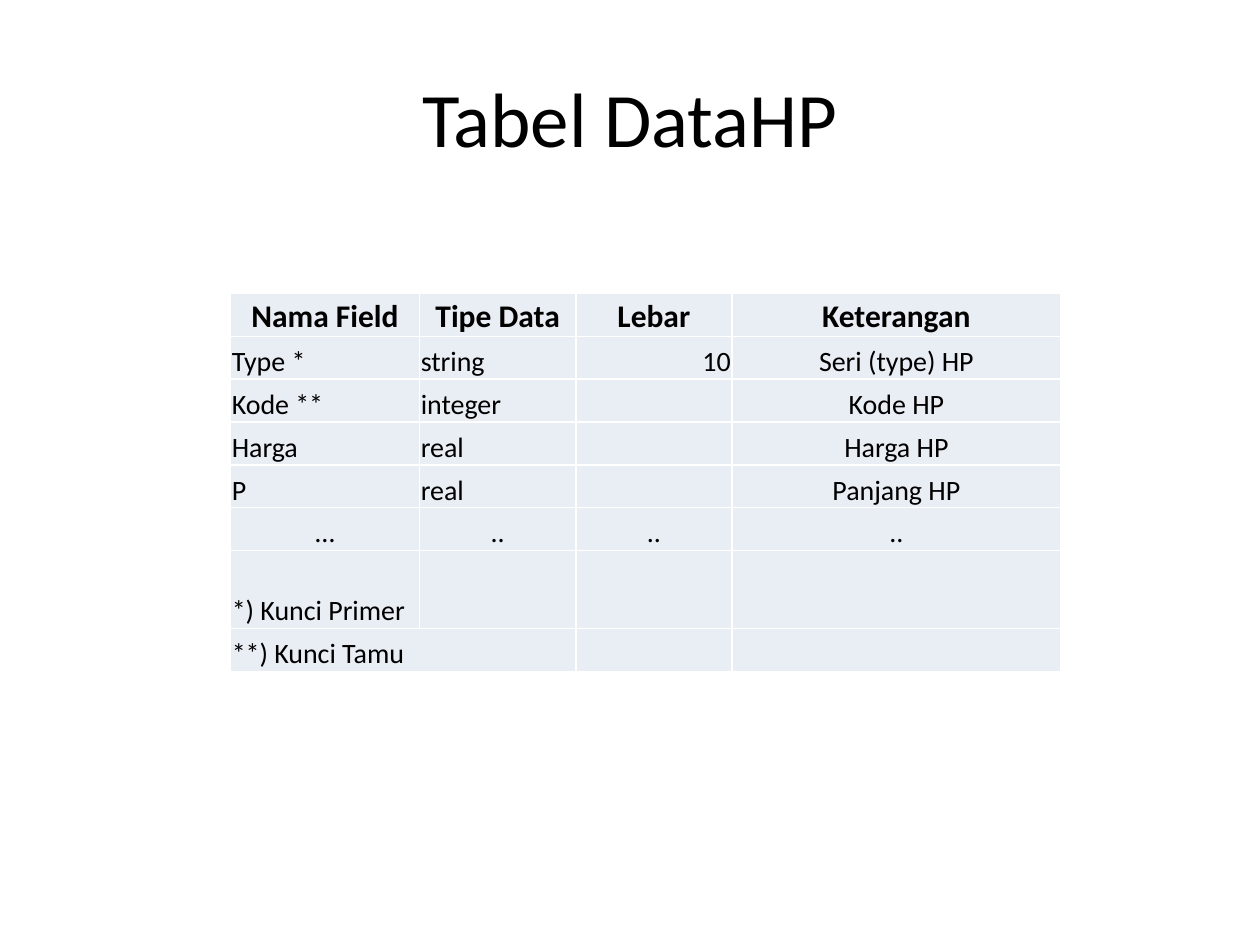
from lxml import etree
from pptx import Presentation
from pptx.dml.color import RGBColor
from pptx.enum import text
from pptx.oxml import ns
from pptx.util import Inches, Pt

COLORS = {"text": "000000", "cell": "E9EDF4", "border": "FFFFFF"}
LEFT, CENTER, RIGHT = text.PP_ALIGN.LEFT, text.PP_ALIGN.CENTER, text.PP_ALIGN.RIGHT


def set_text(tf, content, size=16, bold=False, align=LEFT):
    """Write one formatted paragraph into a text frame."""
    p = tf.paragraphs[0]
    p.alignment = align
    r = p.add_run()
    r.text = content
    r.font.name = "Calibri"
    r.font.size = Pt(size)
    r.font.bold = bold
    r.font.color.rgb = RGBColor.from_string(COLORS["text"])


def style_cell(cell):
    """Give a cell its borders, fill, margins and anchor."""
    tc_pr = cell._tc.get_or_add_tcPr()
    for side in ("a:lnL", "a:lnR", "a:lnT", "a:lnB"):
        ln = etree.SubElement(tc_pr, ns.qn(side), w=str(Pt(1)))
        fill = etree.SubElement(ln, ns.qn("a:solidFill"))
        etree.SubElement(fill, ns.qn("a:srgbClr"), val=COLORS["border"])
    cell.fill.solid()
    cell.fill.fore_color.rgb = RGBColor.from_string(COLORS["cell"])
    cell.margin_left = cell.margin_right = cell.margin_top = Inches(0.01)
    cell.margin_bottom = 0
    cell.vertical_anchor = text.MSO_ANCHOR.BOTTOM


prs = Presentation()
prs.slide_width, prs.slide_height = Inches(10), Inches(7.5)
s = prs.slides.add_slide(prs.slide_layouts[5])

title = s.shapes.title
title.left, title.top = Inches(0.5), Inches(0.3)
title.width, title.height = Inches(9), Inches(1.25)
title.text_frame.vertical_anchor = text.MSO_ANCHOR.MIDDLE
set_text(title.text_frame, "Tabel DataHP", size=44, align=CENTER)

rows = [
    ["Nama Field", "Tipe Data", "Lebar", "Keterangan"],
    ["Type *", "string", "10", "Seri (type) HP"],
    ["Kode **", "integer", "", "Kode HP"],
    ["Harga", "real", "", "Harga HP"],
    ["P", "real", "", "Panjang HP"],
    ["…", "..", "..", ".."],
    ["*) Kunci Primer", "", "", ""],
    ["**) Kunci Tamu", "", "", ""],
]
col_widths = [1.5, 1.24, 1.24, 2.61]
col_aligns = [LEFT, LEFT, RIGHT, CENTER]
HEADER, DOTS, PRIMARY_KEY, FOREIGN_KEY = 0, 5, 6, 7

table = s.shapes.add_table(len(rows), len(col_widths), Inches(1.83), Inches(2.33),
                           Inches(6.58), Inches(3)).table
table.first_row = table.horz_banding = False
for column, width in zip(table.columns, col_widths):
    column.width = Inches(width)

for i, row in enumerate(rows):
    table.rows[i].height = Inches(0.62 if i == PRIMARY_KEY else 0.34)
    for j, content in enumerate(row):
        cell = table.cell(i, j)
        style_cell(cell)
        if content:
            set_text(cell.text_frame, content, size=18 if i == HEADER else 16,
                     bold=i == HEADER,
                     align=CENTER if i in (HEADER, DOTS) else col_aligns[j])
table.cell(FOREIGN_KEY, 0).merge(table.cell(FOREIGN_KEY, 1))

prs.save("out.pptx")
